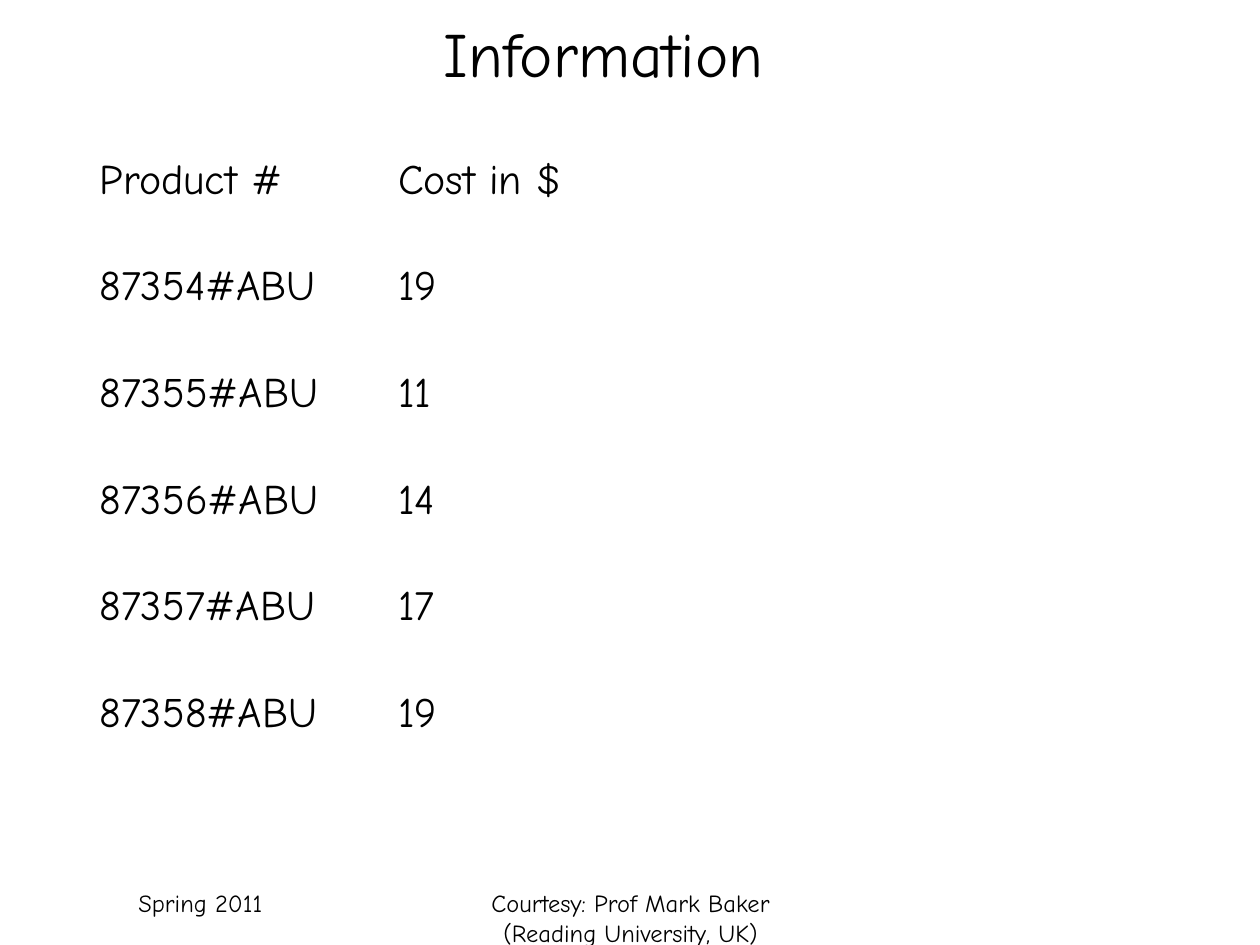
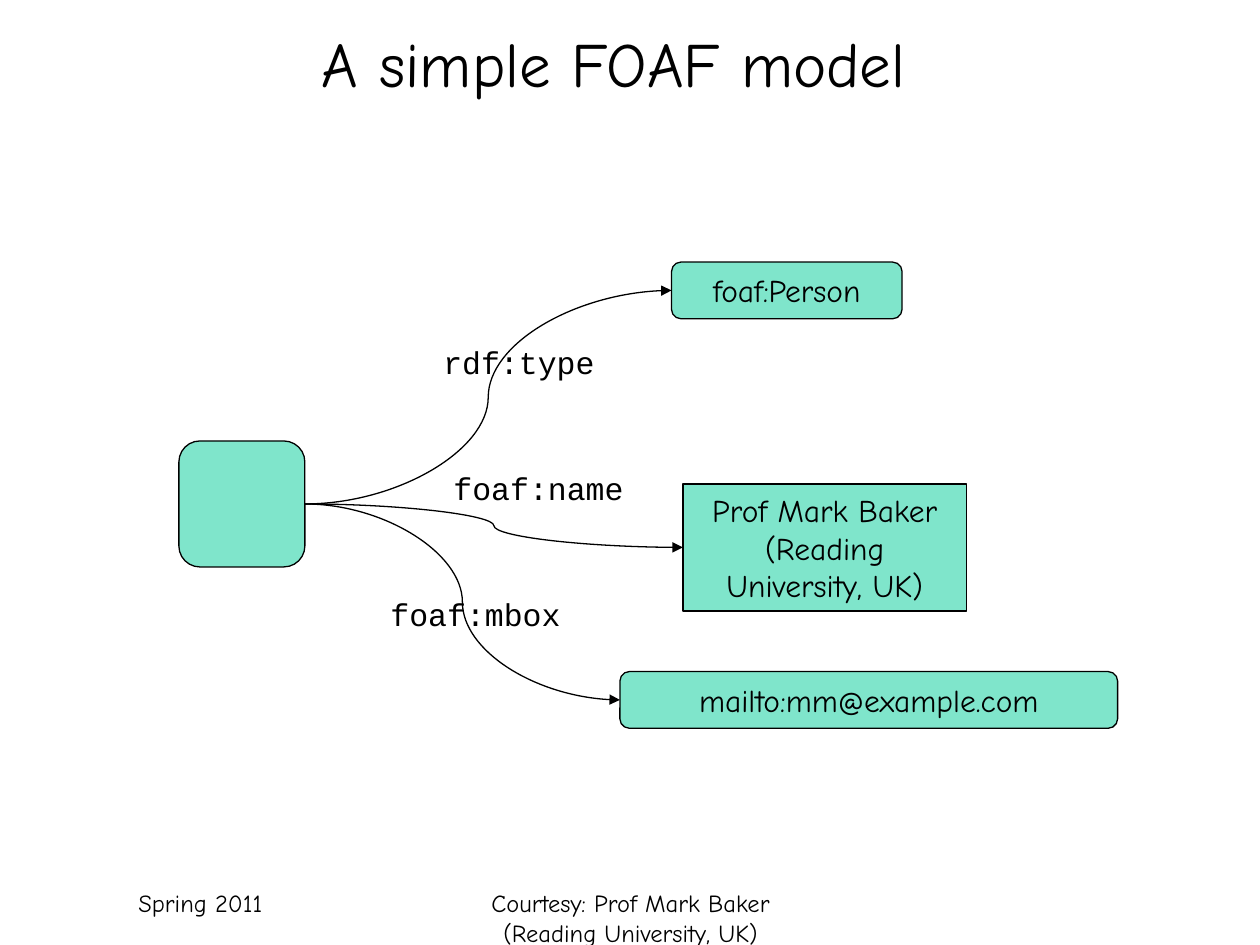
from pptx import Presentation
from pptx.dml.color import RGBColor
from pptx.enum.shapes import MSO_CONNECTOR, MSO_SHAPE
from pptx.enum.text import MSO_ANCHOR, MSO_AUTO_SIZE, PP_ALIGN
from pptx.oxml.ns import qn
from pptx.util import Inches, Pt
from lxml import etree

CURVE = MSO_CONNECTOR.CURVE
RECT, ROUND = MSO_SHAPE.RECTANGLE, MSO_SHAPE.ROUNDED_RECTANGLE
LEFT, CENTER = PP_ALIGN.LEFT, PP_ALIGN.CENTER
TOP, MIDDLE = MSO_ANCHOR.TOP, MSO_ANCHOR.MIDDLE
GROW = MSO_AUTO_SIZE.SHAPE_TO_FIT_TEXT

COLORS = {"ink": "000000", "node": "00CC99"}
BODY_FONT, CODE_FONT = "Comic Neue", "Courier New"
LEFT_SITE, RIGHT_SITE = 1, 3

COSTS = [
    ("Product #", "Cost in $"),
    ("87354#ABU", "19"),
    ("87355#ABU", "11"),
    ("87356#ABU", "14"),
    ("87357#ABU", "17"),
    ("87358#ABU", "19"),
]

PERSON = (1.42, 3.5, 1, 1)
PROPERTIES = [
    ("foaf:name", (3.5, 3.67, 1.55, 0.4), RECT,
     "Prof Mark Baker (Reading University, UK)", (5.42, 3.84, 2.25, 1.01)),
    ("rdf:type", (3.42, 2.67, 1.4, 0.4), ROUND,
     "foaf:Person", (5.33, 2.08, 1.83, 0.45)),
    ("foaf:mbox", (3, 4.67, 1.55, 0.4), ROUND,
     "mailto:mm@example.com", (4.92, 5.33, 3.95, 0.45)),
]


def rgb(name):
    """Return the named palette colour."""
    return RGBColor.from_string(COLORS[name])


def inches(box):
    """Convert a box of numbers to lengths."""
    return [Inches(v) for v in box]


def write(tf, text, size, font=BODY_FONT, align=LEFT, anchor=TOP):
    """Put one styled paragraph in a text frame and return it."""
    tf.text = text
    tf.vertical_anchor = anchor
    p = tf.paragraphs[0]
    p.alignment = align
    p.font.size, p.font.name = Pt(size), font
    p.font.color.rgb = rgb("ink")
    return p


def add_text(slide, box, text, size, font=BODY_FONT, align=LEFT, wrap=True):
    """Add a text box."""
    tf = slide.shapes.add_textbox(*inches(box)).text_frame
    tf.word_wrap = wrap
    write(tf, text, size, font, align)


def add_slide(prs, title, box):
    """Add a slide with its title and the shared footers."""
    slide = prs.slides.add_slide(prs.slide_layouts[5])
    sp = slide.shapes.title
    sp.left, sp.top, sp.width, sp.height = inches(box)
    tf = sp.text_frame
    tf.margin_left = tf.margin_right = tf.margin_top = tf.margin_bottom = 0
    write(tf, title, 36, align=CENTER, anchor=MIDDLE)
    add_text(slide, (1, 7, 2.08, 0.5), "Spring 2011", 14)
    add_text(slide, (3.42, 7, 3.17, 0.5),
             "Courtesy: Prof Mark Baker (Reading University, UK)", 14, align=CENTER)
    return slide


def add_cost_table(slide, box, rows):
    """Add a plain table of products and costs."""
    tbl = slide.shapes.add_table(len(rows), len(rows[0]), *inches(box)).table
    tbl.first_row = tbl.horz_banding = False
    for i, row in enumerate(rows):
        for j, text in enumerate(row):
            cell = tbl.cell(i, j)
            cell.fill.background()
            cell.margin_left = Inches(0.15 if j else 0.04)
            cell.margin_right = cell.margin_bottom = Inches(0.04)
            cell.margin_top = Inches(0.05)
            cell.vertical_anchor = MIDDLE
            write(cell.text_frame, text, 24, anchor=MIDDLE).line_spacing = 0.98


def add_node(slide, kind, box, text=""):
    """Add a half-transparent node of the graph."""
    sp = slide.shapes.add_shape(kind, *inches(box))
    sp.shadow.inherit = False
    sp.fill.solid()
    sp.fill.fore_color.rgb = rgb("node")
    color = sp._element.spPr.find(qn("a:solidFill")).find(qn("a:srgbClr"))
    etree.SubElement(color, qn("a:alpha")).set("val", "50000")
    sp.line.color.rgb = rgb("ink")
    sp.line.width = Pt(0.75)
    if text:
        sp.text_frame.word_wrap = True
        sp.text_frame.auto_size = GROW
        write(sp.text_frame, text, 18, align=CENTER, anchor=MIDDLE)
    return sp


def add_arrow(slide, source, target):
    """Join two nodes with a curved arrow."""
    line = slide.shapes.add_connector(CURVE, 0, 0, 0, 0)
    line.begin_connect(source, RIGHT_SITE)
    line.end_connect(target, LEFT_SITE)
    line.line.color.rgb = rgb("ink")
    line.line.width = Pt(0.75)
    etree.SubElement(line.line._get_or_add_ln(), qn("a:tailEnd")).set("type", "triangle")
    etree.SubElement(line._element.spPr, qn("a:effectLst"))


def add_graph(slide, person_box, properties):
    """Add the person node, its property values, arrows and labels."""
    person = add_node(slide, ROUND, person_box)
    values = [add_node(slide, kind, box, text) for _, _, kind, text, box in properties]
    for value in values:
        add_arrow(slide, person, value)
    for label, box, *_ in properties:
        add_text(slide, box, label, 18, CODE_FONT, wrap=False)


def main():
    """Build and save the presentation."""
    prs = Presentation()
    prs.slide_width, prs.slide_height = Inches(10), Inches(7.5)
    slide = add_slide(prs, "Information", (1.33, 0, 6.92, 0.83))
    add_cost_table(slide, (0.75, 1, 4.52, 5.08), COSTS)
    slide = add_slide(prs, "A simple FOAF model", (0.33, 0.08, 9.08, 0.83))
    add_graph(slide, PERSON, PROPERTIES)
    prs.save("out.pptx")


if __name__ == "__main__":
    main()
